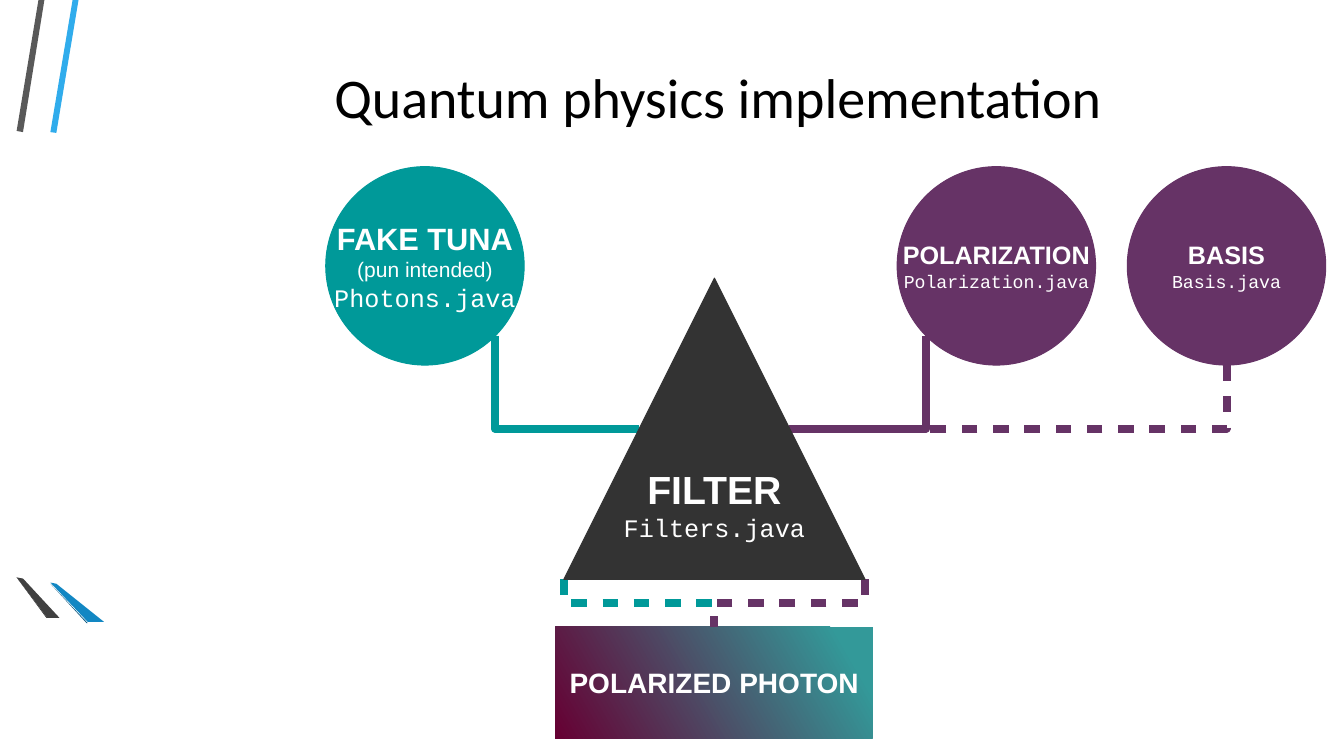
from dataclasses import dataclass

from lxml.etree import SubElement
from pptx import Presentation
from pptx.dml.color import RGBColor
from pptx.enum.shapes import MSO_CONNECTOR, MSO_SHAPE
from pptx.enum.text import MSO_ANCHOR, PP_ALIGN
from pptx.oxml.ns import qn
from pptx.util import Cm, Pt

HUES = {
    "black": "000000", "white": "FFFFFF", "teal": "009999",
    "purple": "663366", "dark": "333333", "mint": "339999", "wine": "660033",
    "sky": "30ACEC", "blue": "1287C3", "navy": "0C5A82",
    "gray": "595959", "coal": "404040", "soot": "262626",
}


@dataclass
class Line:
    text: str
    size: int
    font: str = "Arial"
    bold: bool = False


@dataclass
class Node:
    kind: MSO_SHAPE
    left: float
    top: float
    width: float
    height: float
    hue: str
    lines: list[Line]


@dataclass
class Link:
    start: tuple[float, float]
    end: tuple[float, float]
    hue: str
    bends: int = 1
    dashed: bool = True


@dataclass
class Stripe:
    """An outline that fills only the top left part of its frame."""
    hue: str
    width: float
    height: float
    points: list[tuple[float, float]]


def code(text: str, size: int) -> Line:
    return Line(text, size, "Courier New")


def disc(left: float, hue: str, lines: list[Line]) -> Node:
    return Node(MSO_SHAPE.OVAL, left, 4.2, 5, 5, hue, lines)


STRIPES = [
    Stripe("sky", 3.12, 14.81,
           [(1.27, 3.33), (1.42, 3.35), (1.98, 0), (1.83, 0)]),
    Stripe("gray", 3.1, 14.66,
           [(1.12, 0), (0.97, 0), (0.42, 3.3), (0.58, 3.33)]),
    Stripe("soot", 3.4, 4.5, [(0.42, 14.55), (1.17, 15.57), (1.19, 15.57)]),
    Stripe("navy", 4.17, 4.34, [(1.27, 14.71), (2.18, 15.7), (2.21, 15.7)]),
    Stripe("blue", 5.92, 4.37,
           [(1.27, 14.68), (2.21, 15.67), (2.62, 15.67), (1.42, 14.71)]),
    Stripe("coal", 4.7, 4.5,
           [(1.5, 15.57), (0.61, 14.61), (0.58, 14.58), (0.42, 14.55),
            (1.19, 15.57)]),
]
DISCS = [
    disc(8.21, "teal", [Line("FAKE TUNA", 22, bold=True),
                        Line("(pun intended)", 15), code("Photons.java", 18)]),
    disc(22.61, "purple", [Line("POLARIZATION", 18, bold=True),
                           code("Polarization.java", 13)]),
    disc(28.41, "purple", [Line("BASIS", 18, bold=True),
                           code("Basis.java", 13)]),
]
PHOTON = Node(MSO_SHAPE.RECTANGLE, 14, 15.8, 8, 2.8, "wine",
              [Line("POLARIZED PHOTON", 20, bold=True)])
FILTER = Node(MSO_SHAPE.ISOSCELES_TRIANGLE, 14.21, 7.01, 7.59, 7.59, "dark",
              [Line("FILTER", 28, bold=True), code("Filters.java", 18)])
LINKS = [
    Link((12.47, 8.46), (16.1, 10.8), "teal", dashed=False),
    Link((23.34, 8.46), (19.89, 10.8), "purple", dashed=False),
    Link((14.21, 14.6), (18, 15.8), "teal", bends=2),
    Link((21.8, 14.6), (18, 15.8), "purple", bends=2),
    Link((30.91, 9.2), (21.8, 10.8), "purple"),
]


def tint(name: str) -> RGBColor:
    return RGBColor.from_string(HUES[name])


def write(frame, lines: list[Line], hue: str) -> None:
    frame.vertical_anchor = MSO_ANCHOR.MIDDLE
    for i, line in enumerate(lines):
        para = frame.add_paragraph() if i else frame.paragraphs[0]
        para.alignment = PP_ALIGN.CENTER
        run = para.add_run()
        run.text = line.text
        run.font.size = Pt(line.size)
        run.font.name = line.font
        run.font.bold = line.bold
        run.font.color.rgb = tint(hue)


def draw_stripe(shapes, stripe: Stripe) -> None:
    first, *rest = [(Cm(x), Cm(y)) for x, y in stripe.points]
    pen = shapes.build_freeform(*first)
    pen.add_line_segments(rest, close=True)
    shape = pen.convert_to_shape()
    shape.width, shape.height = Cm(stripe.width), Cm(stripe.height)
    trace = next(shape._element.iter(qn("a:path")))
    trace.set("w", str(shape.width))
    trace.set("h", str(shape.height))
    shape.shadow.inherit = False
    shape.fill.solid()
    shape.fill.fore_color.rgb = tint(stripe.hue)
    shape.line.fill.background()


def draw_node(shapes, node: Node):
    shape = shapes.add_shape(node.kind, Cm(node.left), Cm(node.top),
                             Cm(node.width), Cm(node.height))
    shape.shadow.inherit = False
    shape.fill.solid()
    shape.fill.fore_color.rgb = tint(node.hue)
    shape.line.color.rgb = tint(node.hue)
    shape.line.width = Pt(0)
    shape.text_frame.word_wrap = False
    write(shape.text_frame, node.lines, "white")
    return shape


def blend(shape, stops: list[tuple[str, float]], angle: float) -> None:
    """Fill a shape with a gradient and remove its outline."""
    shape.fill.gradient()
    shape.fill.gradient_angle = angle
    for stop, (hue, place) in zip(shape.fill.gradient_stops, stops):
        stop.color.rgb = tint(hue)
        stop.position = place
    shape.line.fill.background()


def draw_link(shapes, link: Link) -> None:
    """Draw an elbow that leaves its start downwards.

    The preset elbow leaves sideways, so its box is laid out
    with the sides swapped and then turned a quarter.
    """
    (x1, y1), (x2, y2) = link.start, link.end
    mid_x, mid_y = (x1 + x2) / 2, (y1 + y2) / 2
    half_w, half_h = (y2 - y1) / 2, abs(x2 - x1) / 2
    wire = shapes.add_connector(
        MSO_CONNECTOR.ELBOW, Cm(mid_x - half_w), Cm(mid_y - half_h),
        Cm(mid_x + half_w), Cm(mid_y + half_h))
    props = wire._element.spPr
    frame = props.find(qn("a:xfrm"))
    if x2 > x1:
        frame.set("flipH", "1")
    frame.set("rot", str((270 if x2 > x1 else 90) * 60000))
    props.find(qn("a:prstGeom")).set("prst", f"bentConnector{link.bends + 1}")
    wire.line.color.rgb = tint(link.hue)
    wire.line.width = Pt(5.67)
    stroke = props.find(qn("a:ln"))
    if link.dashed:
        dash = SubElement(stroke, qn("a:custDash"))
        SubElement(dash, qn("a:ds"), d="197000", sp="197000")
    SubElement(stroke, qn("a:round"))
    SubElement(props, qn("a:effectLst"))


def main() -> None:
    deck = Presentation()
    deck.slide_width, deck.slide_height = Cm(33.87), Cm(19.05)
    shapes = deck.slides.add_slide(deck.slide_layouts[6]).shapes

    for stripe in STRIPES:
        draw_stripe(shapes, stripe)
    title = shapes.add_textbox(Cm(4.17), Cm(0), Cm(27.84), Cm(4.86)).text_frame
    title.word_wrap = True
    write(title, [Line("Quantum physics implementation", 40, "Calibri")], "black")

    for node in DISCS:
        draw_node(shapes, node)
    blend(draw_node(shapes, PHOTON), [("mint", 0.1), ("wine", 1)], 210)
    for link in LINKS:
        draw_link(shapes, link)
    draw_node(shapes, FILTER)
    deck.save("out.pptx")


if __name__ == "__main__":
    main()
